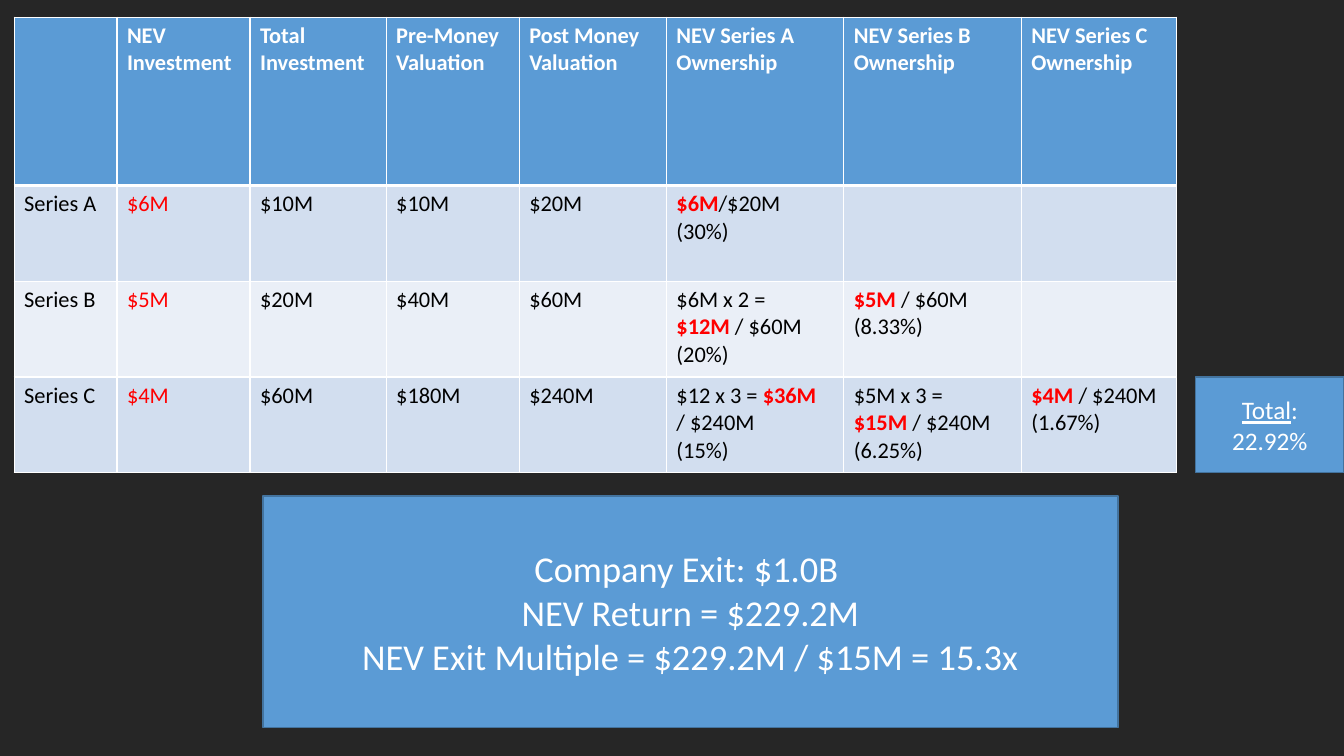
from lxml import etree
from pptx import Presentation, util as u
from pptx.dml.color import RGBColor
from pptx.enum import shapes, text
from pptx.oxml import ns

W, H = 13.33, 7.5
BLUE, EDGE, WHITE, RED, BLACK = "5B9BD5", "43739E", "FFFFFF", "FF0000", "000000"
BANDS = ["D2DEEF", "EAEFF7"]
COLS = [1.02, 1.32, 1.35, 1.32, 1.46, 1.76, 1.76, 1.54]
ROWS = [1.67, 0.95, 0.95, 0.95]

# Text between asterisks is bold and red
FUNDING = [
    ["", "NEV Investment", "Total Investment", "Pre-Money Valuation",
     "Post Money Valuation", "NEV Series A Ownership",
     "NEV Series B Ownership", "NEV Series C Ownership"],
    ["Series A", "$6M", "$10M", "$10M", "$20M", "*$6M*/$20M\n(30%)", "", ""],
    ["Series B", "$5M", "$20M", "$40M", "$60M",
     "$6M x 2 = *$12M* / $60M\n(20%)", "*$5M *\u200b/ $60M\n(8.33%)".replace("\u200b", ""), ""],
    ["Series C", "$4M", "$60M", "$180M", "$240M",
     "$12 x 3 = *$36M *\n/ $240M\n(15%)",
     "$5M x 3 = *$15M */ $240M\n(6.25%)", "*$4M */ $240M \n(1.67%)"],
]


def rgb(code):
    """Turn a hex string into a colour."""
    return RGBColor.from_string(code)


def paint(target, code):
    """Give a shape, cell or background a solid fill."""
    target.fill.solid()
    target.fill.fore_color.rgb = rgb(code)


def add_run(p, words, size, color, bold=False, underline=False):
    """Append one formatted run to a paragraph."""
    r = p.add_run()
    r.text = words
    r.font.name, r.font.size = "Calibri", u.Pt(size)
    r.font.bold, r.font.underline = bold, underline
    r.font.color.rgb = rgb(color)


def paragraphs(tf, lines):
    """Yield a paragraph of the frame with each line."""
    for i, line in enumerate(lines):
        yield (tf.add_paragraph() if i else tf.paragraphs[0]), line


def add_borders(cell, widths):
    """Draw white cell borders, widths in points by side."""
    tc_pr = cell._tc.get_or_add_tcPr()
    for side, width in widths.items():
        ln = etree.SubElement(tc_pr, ns.qn("a:ln" + side), w=str(u.Pt(width)))
        fill = etree.SubElement(ln, ns.qn("a:solidFill"))
        etree.SubElement(fill, ns.qn("a:srgbClr"), val=WHITE)


def fill_cell(cell, words, row, col):
    """Write and colour one table cell by its row and column."""
    header = row == 0
    add_borders(cell, {"L": 1, "R": 1, "T": 3 if row == 1 else 1,
                       "B": 3 if header else 1})
    paint(cell, BLUE if header else BANDS[(row - 1) % 2])
    color = WHITE if header else RED if col == 1 else BLACK
    for p, line in paragraphs(cell.text_frame, words.split("\n")):
        for i, part in enumerate(line.split("*")):
            if part:
                marked = i % 2 == 1
                add_run(p, part, 16, RED if marked else color, header or marked)


def add_funding_table(s, left, top):
    """Add the table of funding rounds."""
    table = s.shapes.add_table(
        len(ROWS), len(COLS), u.Inches(left), u.Inches(top),
        u.Inches(sum(COLS)), u.Inches(sum(ROWS))).table
    for column, width in zip(table.columns, COLS):
        column.width = u.Inches(width)
    for row, height in enumerate(ROWS):
        table.rows[row].height = u.Inches(height)
        for col, words in enumerate(FUNDING[row]):
            fill_cell(table.cell(row, col), words, row, col)


def add_box(s, left, top, width, height, size, lines):
    """Add a blue box of centred lines; a leading underscore underlines a part."""
    sp = s.shapes.add_shape(shapes.MSO_SHAPE.RECTANGLE,
                            *map(u.Inches, (left, top, width, height)))
    sp.shadow.inherit = False
    paint(sp, BLUE)
    sp.line.color.rgb, sp.line.width = rgb(EDGE), u.Pt(1)
    tf = sp.text_frame
    tf.word_wrap = True
    tf.vertical_anchor = text.MSO_ANCHOR.MIDDLE
    for p, parts in paragraphs(tf, lines):
        p.alignment = text.PP_ALIGN.CENTER
        for part in parts:
            add_run(p, part.lstrip("_"), size, WHITE, underline=part.startswith("_"))


def main():
    """Build the slide and save it."""
    prs = Presentation()
    prs.slide_width, prs.slide_height = u.Inches(W), u.Inches(H)
    s = prs.slides.add_slide(prs.slide_layouts[6])
    paint(s.background, "262626")
    left, top = 0.14, 0.17
    add_funding_table(s, left, top)
    last_row = top + sum(ROWS[:-1])
    add_box(s, W - 1.47, last_row, 1.47, ROWS[-1], 18, [["_Total", ":"], ["22.92%"]])
    add_box(s, 2.61, 4.92, 8.48, 2.3, 26, [
        ["Company Exit: $1.0B "], ["NEV Return = $229.2M"],
        ["NEV Exit Multiple = $229.2M / $15M = 15.3x"]])
    prs.save("out.pptx")


main()
